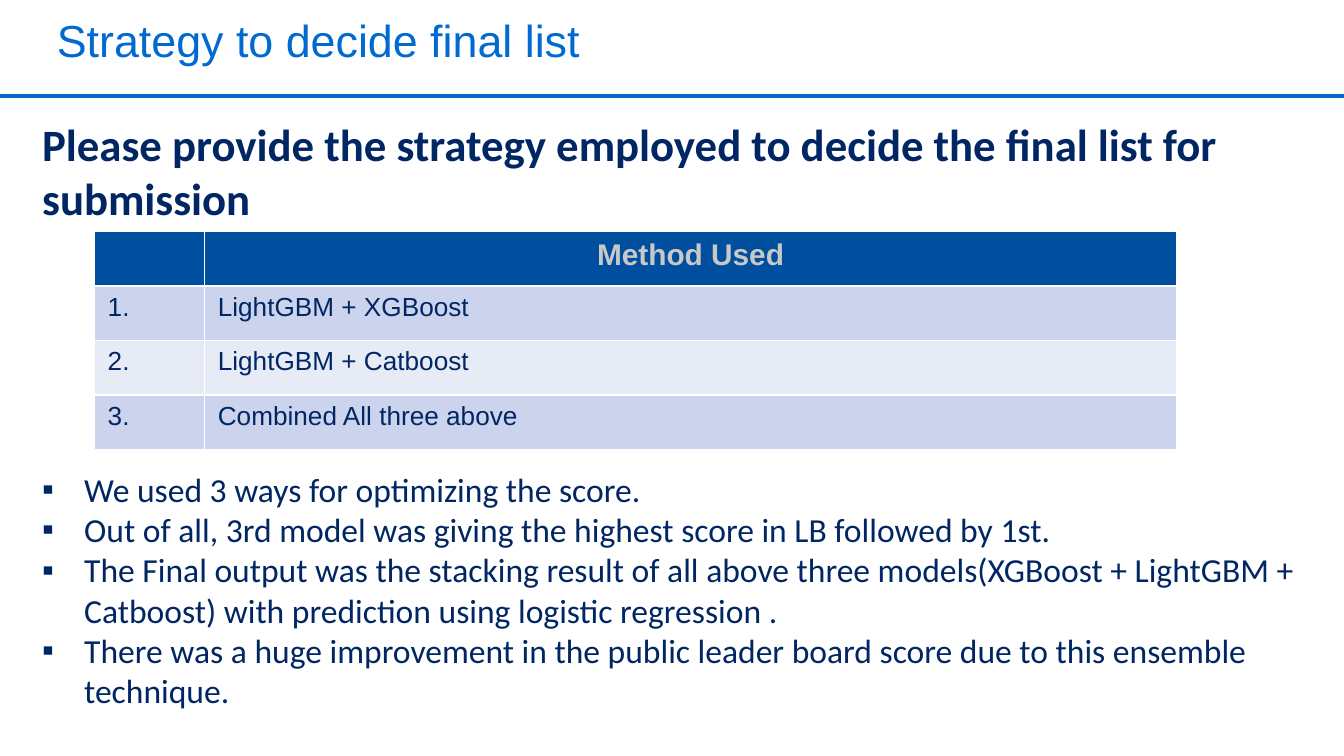
from dataclasses import dataclass
from lxml import etree
from pptx import Presentation
from pptx.dml.color import RGBColor
from pptx.enum.shapes import MSO_CONNECTOR
from pptx.enum.text import PP_ALIGN
from pptx.oxml.ns import qn
from pptx.util import Pt

STRAIGHT = MSO_CONNECTOR.STRAIGHT
LEFT, CENTER = PP_ALIGN.LEFT, PP_ALIGN.CENTER


@dataclass(frozen=True)
class Theme:
    title: str = "006AD2"
    rule: str = "0968CE"
    ink: str = "002663"
    head: str = "004F9E"
    label: str = "C7C8C7"
    bands: tuple = ("CCD4ED", "E7EBF6")
    big: int = 24
    body: int = 18
    mid: int = 16
    small: int = 14
    sans: str = "Arial"
    text: str = "Calibri"


class Deck:
    def __init__(self, theme, wide, high):
        self.theme = theme
        self.file = Presentation()
        self.file.slide_width, self.file.slide_height = Pt(wide), Pt(high)
        self.slide = self.file.slides.add_slide(self.file.slide_layouts[6])

    def label(self, para, words, size, color, face, bold=False, **form):
        run = para.add_run()
        run.text = words
        run.font.color.rgb = RGBColor.from_string(color)
        for key, value in {"size": Pt(size), "name": face, "bold": bold}.items():
            setattr(run.font, key, value)
        for key, value in form.items():
            setattr(para, key, value)

    def box(self, left, top, width, height, **form):
        frame = self.slide.shapes.add_textbox(
            Pt(left), Pt(top), Pt(width), Pt(height)).text_frame
        for key, value in {"word_wrap": True, **form}.items():
            setattr(frame, key, value)
        return frame

    def bullet(self, frame, words, indent, gap):
        para = frame.add_paragraph()
        self.label(para, words, self.theme.body, self.theme.ink,
                   self.theme.text, space_before=Pt(gap))
        props = para._p.get_or_add_pPr()
        props.set("marL", str(Pt(indent)))
        props.set("indent", str(Pt(-indent)))
        etree.SubElement(props, qn("a:buFont"), typeface="Arial")
        etree.SubElement(props, qn("a:buChar"), char="▪")

    def rule(self, top, width, weight):
        line = self.slide.shapes.add_connector(
            STRAIGHT, 0, Pt(top), Pt(width), Pt(top))
        line.line.color.rgb = RGBColor.from_string(self.theme.rule)
        line.line.width = Pt(weight)
        etree.SubElement(line._element.spPr, qn("a:effectLst"))

    def table(self, left, top, widths, high, rows):
        theme = self.theme
        grid = self.slide.shapes.add_table(
            len(rows), len(widths), Pt(left), Pt(top),
            Pt(sum(widths)), Pt(high * len(rows))).table
        for col, width in zip(grid.columns, widths):
            col.width = Pt(width)
        for r, row in enumerate(rows):
            first = r == 0
            fill = theme.head if first else theme.bands[(r - 1) % 2]
            size, color = (theme.mid, theme.label) if first else (theme.small, theme.ink)
            for c, words in enumerate(row):
                cell = grid.cell(r, c)
                cell.fill.solid()
                cell.fill.fore_color.rgb = RGBColor.from_string(fill)
                if words:
                    self.label(cell.text_frame.paragraphs[0], words, size, color,
                               theme.sans, first, alignment=CENTER if first else LEFT)


def main():
    theme = Theme()
    deck = Deck(theme, 720, 405)

    flush = dict.fromkeys(
        ("margin_left", "margin_top", "margin_right", "margin_bottom"), 0)
    title = deck.box(30.5, 12, 648, 59, **flush)
    deck.label(title.paragraphs[0], "Strategy to decide final list",
               theme.big, theme.title, theme.sans, line_spacing=0.82)
    deck.rule(51.5, 720, 2)

    body = deck.box(15.5, 59, 693.5, 349)
    deck.label(body.paragraphs[0],
               "Please provide the strategy employed to decide the final list for submission",
               theme.big, theme.ink, theme.text, True)
    points = [
        "We used 3 ways for optimizing the score.",
        "Out of all, 3rd model was giving the highest score in LB followed by 1st.",
        "The Final output was the stacking result of all above three models"
        "(XGBoost + LightGBM + Catboost) with prediction using logistic regression .",
        "There was a huge improvement in the public leader board score due to "
        "this ensemble technique.",
    ]
    for i, words in enumerate(points):
        deck.bullet(body, words, 22.5, 0 if i else 131)

    methods = ["LightGBM + XGBoost", "LightGBM + Catboost", "Combined All three above"]
    rows = [("", "Method Used")]
    rows += [(f"{i}.", name) for i, name in enumerate(methods, 1)]
    deck.table(50.5, 124, (59, 521), 29.2, rows)

    deck.file.save("out.pptx")


if __name__ == "__main__":
    main()
